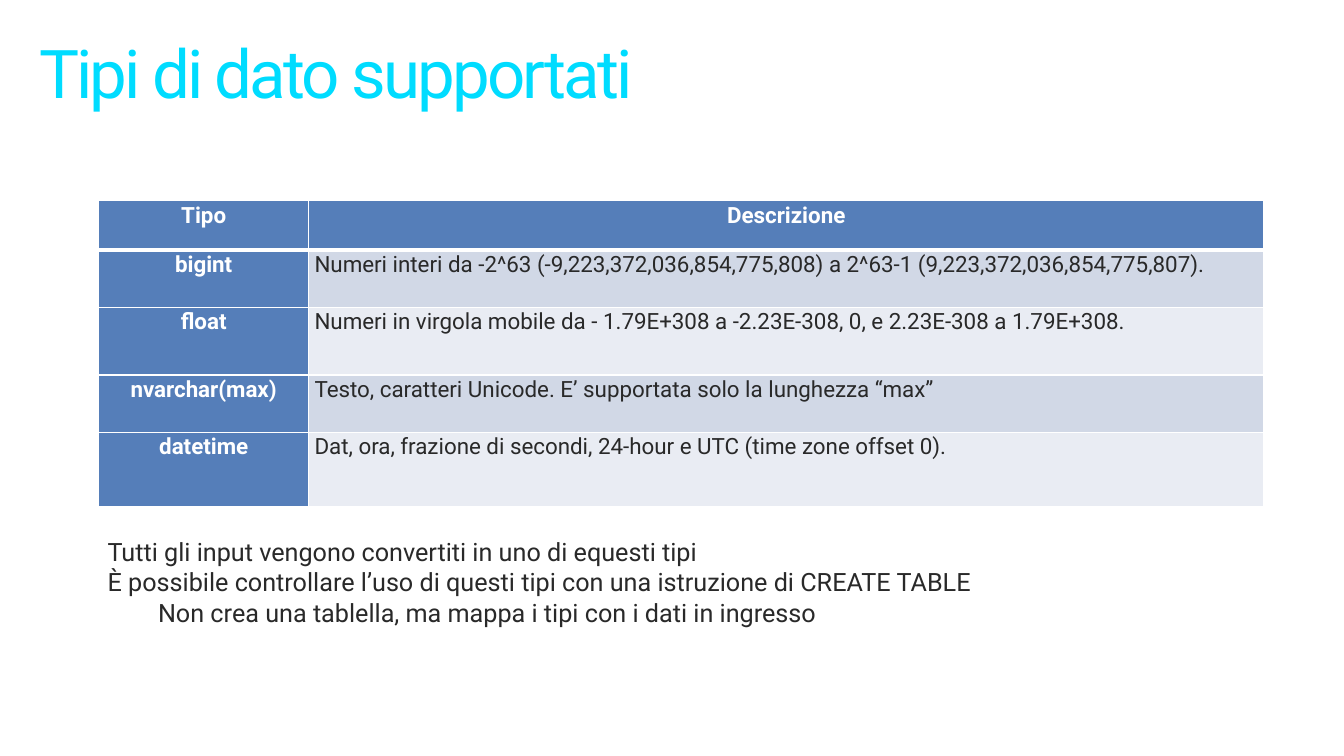
from pptx import Presentation
from pptx.dml.color import RGBColor
from pptx.enum.text import MSO_ANCHOR, PP_ALIGN
from pptx.oxml.ns import qn
from pptx.util import Pt
from lxml import etree

CENTER, LEFT = PP_ALIGN.CENTER, PP_ALIGN.LEFT
TOP = MSO_ANCHOR.TOP

CYAN = RGBColor(0x00, 0xDC, 0xFF)
BLUE = RGBColor(0x55, 0x7E, 0xB9)
BAND_DARK = RGBColor(0xD1, 0xD8, 0xE6)
BAND_LIGHT = RGBColor(0xE9, 0xEC, 0xF3)
INK = RGBColor(0x29, 0x29, 0x29)
WHITE = RGBColor(0xFF, 0xFF, 0xFF)

FONT = "Roboto"
COL_WIDTHS = [149.8, 682.5]
ROW_HEIGHTS = [35.3, 41, 48.3, 41, 53.3]
DATA_TYPES = [
    ("Tipo", "Descrizione"),
    ("bigint", "Numeri interi da -2^63 (-9,223,372,036,854,775,808) a 2^63-1 (9,223,372,036,854,775,807)."),
    ("float", "Numeri in virgola mobile da - 1.79E+308 a -2.23E-308, 0, e 2.23E-308 a 1.79E+308."),
    ("nvarchar(max)", "Testo, caratteri Unicode. E’ supportata solo la lunghezza “max”"),
    ("datetime", "Dat, ora, frazione di secondi, 24-hour e UTC (time zone offset 0)."),
]
NOTES = [
    ("Tutti gli input vengono convertiti in uno di equesti tipi", 0),
    ("È possibile controllare l’uso di questi tipi con una istruzione di CREATE TABLE", 0),
    ("Non crea una tablella, ma mappa i tipi con i dati in ingresso", 1),
]


def style(p, size, color, bold=False):
    """Set the font of a whole paragraph."""
    p.font.name, p.font.size, p.font.bold = FONT, Pt(size), bold
    p.font.color.rgb = color


def set_borders(cell, widths):
    """Draw white cell borders; widths maps side letters to points."""
    tcPr = cell._tc.get_or_add_tcPr()
    for i, (side, width) in enumerate(widths.items()):
        ln = etree.Element(qn(f"a:ln{side}"), w=str(Pt(width)))
        fill = etree.SubElement(ln, qn("a:solidFill"))
        etree.SubElement(fill, qn("a:srgbClr"), val=str(WHITE))
        tcPr.insert(i, ln)


def add_text_frame(slide, x, y, w, h):
    """Add a wrapping text box and return its text frame."""
    tf = slide.shapes.add_textbox(Pt(x), Pt(y), Pt(w), Pt(h)).text_frame
    tf.word_wrap = True
    return tf


def add_title(slide, x, y, w, h, text):
    """Add the slide heading with tightened letter spacing."""
    tf = add_text_frame(slide, x, y, w, h)
    tf.margin_top = Pt(6)
    p = tf.paragraphs[0]
    p.line_spacing = 0.9
    style(p, 48, CYAN)
    r = p.add_run()
    r.text = text
    r.font._element.set("spc", "-200")


def add_type_table(slide, x, y):
    """Add the table of data types with blue header row and column."""
    table = slide.shapes.add_table(
        len(DATA_TYPES), len(COL_WIDTHS), Pt(x), Pt(y),
        Pt(sum(COL_WIDTHS)), Pt(sum(ROW_HEIGHTS))).table
    for col, width in zip(table.columns, COL_WIDTHS):
        col.width = Pt(width)
    for i, (values, height) in enumerate(zip(DATA_TYPES, ROW_HEIGHTS)):
        table.rows[i].height = Pt(height)
        for j, text in enumerate(values):
            cell = table.cell(i, j)
            heading = i == 0 or j == 0
            cell.margin_left = cell.margin_right = Pt(4.3)
            cell.margin_top = cell.margin_bottom = 0
            cell.vertical_anchor = TOP
            cell.fill.solid()
            band = BAND_DARK if i % 2 else BAND_LIGHT
            cell.fill.fore_color.rgb = BLUE if heading else band
            set_borders(cell, {"L": 1, "R": 1, "T": 3 if i == 1 else 1,
                               "B": 3 if i == 0 else 1})
            p = cell.text_frame.paragraphs[0]
            p.text = text
            p.alignment = CENTER if heading else LEFT
            p.line_spacing = 1.07
            style(p, 16, WHITE if heading else INK, heading)


def add_notes(slide, x, y, w, h):
    """Add the remarks below the table, indented by level."""
    tf = add_text_frame(slide, x, y, w, h)
    for i, (text, level) in enumerate(NOTES):
        p = tf.add_paragraph() if i else tf.paragraphs[0]
        p.text = text
        p.level = level
        p._p.get_or_add_pPr().set("marL", str(Pt(36 * level)))
        style(p, 18, INK)


def build_types_slide(prs):
    """Build the slide on supported data types."""
    slide = prs.slides.add_slide(prs.slide_layouts[6])
    add_title(slide, 20.9, 23, 917, 70.6, "Tipi di dato supportati")
    add_type_table(slide, 70.6, 143.3)
    add_notes(slide, 69.8, 379.6, 827, 72.7)


prs = Presentation()
prs.slide_width, prs.slide_height = Pt(960), Pt(540)
build_types_slide(prs)
prs.save("out.pptx")
